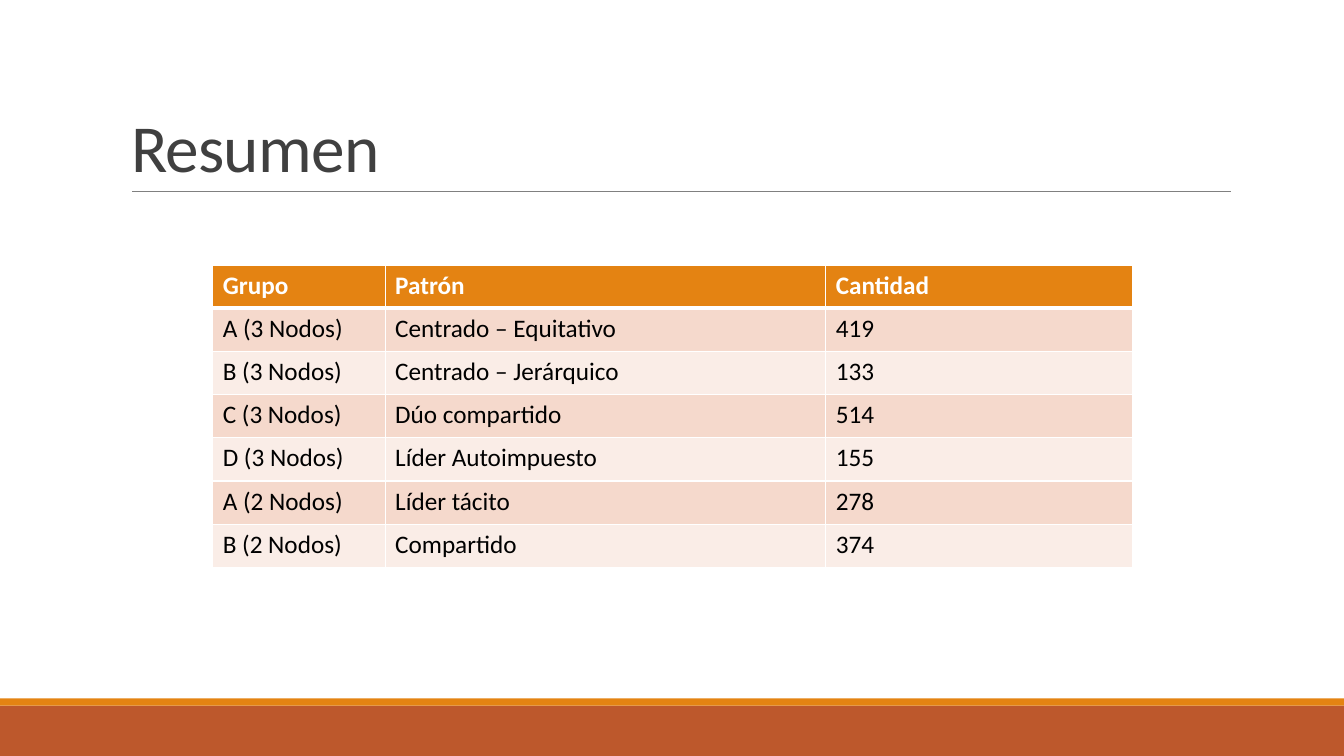
import pptx
import pptx.dml.color
import pptx.enum.shapes
import pptx.enum.text
import pptx.oxml
import pptx.oxml.ns
import pptx.util

RGB = pptx.dml.color.RGBColor
WHITE = RGB(0xFF, 0xFF, 0xFF)
BLACK = RGB(0x00, 0x00, 0x00)
TITLE_GRAY = RGB(0x40, 0x40, 0x40)
RULE_GRAY = RGB(0x80, 0x80, 0x80)
ORANGE = RGB(0xE4, 0x83, 0x12)
RUST = RGB(0xBD, 0x58, 0x2C)
ROW_BANDS = (RGB(0xF5, 0xD9, 0xCC), RGB(0xFA, 0xED, 0xE7))

FONT = "Calibri"
WIDTH = pptx.util.Inches(13.33)
HEIGHT = pptx.util.Inches(7.5)
FOOTER_HEIGHT = HEIGHT // 15
STRIPE_HEIGHT = pptx.util.Inches(0.07)
TABLE_LEFT = pptx.util.Inches(2.11)
TABLE_TOP = pptx.util.Inches(2.63)
ROW_HEIGHT = pptx.util.Inches(3) // 7
COLUMN_WIDTHS = [pptx.util.Inches(width) for width in (1.71, 4.37, 3.04)]

SUMMARY = (
    ("Grupo", "Patrón", "Cantidad"),
    ("A (3 Nodos)", "Centrado – Equitativo", "419"),
    ("B (3 Nodos)", "Centrado – Jerárquico", "133"),
    ("C (3 Nodos)", "Dúo compartido", "514"),
    ("D (3 Nodos)", "Líder Autoimpuesto", "155"),
    ("A (2 Nodos)", "Líder tácito", "278"),
    ("B (2 Nodos)", "Compartido", "374"),
)


def format_font(font, size, color, bold=False):
    font.name = FONT
    font.size = pptx.util.Pt(size)
    font.color.rgb = color
    font.bold = bold


def add_band(slide, top, height, color):
    """Add a bar across the full slide width."""
    band = slide.shapes.add_shape(
        pptx.enum.shapes.MSO_SHAPE.RECTANGLE, 0, top, WIDTH, height)
    band.shadow.inherit = False
    band.fill.solid()
    band.fill.fore_color.rgb = color
    band.line.fill.background()


def add_title_rule(slide):
    y = pptx.util.Inches(1.9)
    rule = slide.shapes.add_connector(
        pptx.enum.shapes.MSO_CONNECTOR.STRAIGHT,
        pptx.util.Inches(1.31), y, pptx.util.Inches(12.21), y)
    rule.line.color.rgb = RULE_GRAY
    rule.line.width = pptx.util.Pt(0.5)
    pptx.oxml.ns.qn("a:effectLst")
    rule.element.spPr.append(pptx.oxml.parse_xml(
        f'<a:effectLst {pptx.oxml.ns.nsdecls("a")}/>'))


def set_title(slide, text):
    title = slide.shapes.title
    title.left, title.top, title.width, title.height = (
        pptx.util.Inches(length) for length in (1.2, 0.31, 11, 1.59))
    frame = title.text_frame
    frame.text = text
    frame.auto_size = pptx.enum.text.MSO_AUTO_SIZE.NONE
    frame.vertical_anchor = pptx.enum.text.MSO_ANCHOR.BOTTOM
    paragraph = frame.paragraphs[0]
    paragraph.alignment = pptx.enum.text.PP_ALIGN.LEFT
    paragraph.line_spacing = 0.85
    run = paragraph.runs[0]
    format_font(run.font, 48, TITLE_GRAY)
    run.font._element.set("spc", "-50")


def set_borders(cell, **widths):
    """Draw white borders; widths are points, keyed by side L, R, T, B."""
    properties = cell._tc.get_or_add_tcPr()
    for side, width in widths.items():
        properties.append(pptx.oxml.parse_xml(
            f'<a:ln{side} {pptx.oxml.ns.nsdecls("a")} w="{pptx.util.Pt(width)}">'
            f'<a:solidFill><a:srgbClr val="{WHITE}"/></a:solidFill></a:ln{side}>'))


def fill_cell(cell, text, row):
    is_header = row == 0
    set_borders(cell, L=1, R=1, T=3 if row == 1 else 1, B=3 if is_header else 1)
    cell.fill.solid()
    cell.fill.fore_color.rgb = ORANGE if is_header else ROW_BANDS[(row - 1) % 2]
    cell.text_frame.text = text
    format_font(cell.text_frame.paragraphs[0].runs[0].font, 18,
                WHITE if is_header else BLACK, is_header)


def add_summary_table(slide):
    table = slide.shapes.add_table(
        len(SUMMARY), len(COLUMN_WIDTHS), TABLE_LEFT, TABLE_TOP,
        sum(COLUMN_WIDTHS), ROW_HEIGHT * len(SUMMARY)).table
    for column, width in zip(table.columns, COLUMN_WIDTHS):
        column.width = width
    for row, texts in enumerate(SUMMARY):
        table.rows[row].height = ROW_HEIGHT
        for column, text in enumerate(texts):
            fill_cell(table.cell(row, column), text, row)


def main():
    presentation = pptx.Presentation()
    presentation.slide_width = WIDTH
    presentation.slide_height = HEIGHT
    slide = presentation.slides.add_slide(presentation.slide_layouts[5])
    footer_top = HEIGHT - FOOTER_HEIGHT
    add_band(slide, footer_top, FOOTER_HEIGHT, RUST)
    add_band(slide, footer_top - STRIPE_HEIGHT, STRIPE_HEIGHT, ORANGE)
    add_title_rule(slide)
    set_title(slide, "Resumen")
    add_summary_table(slide)
    presentation.save("out.pptx")


if __name__ == "__main__":
    main()
